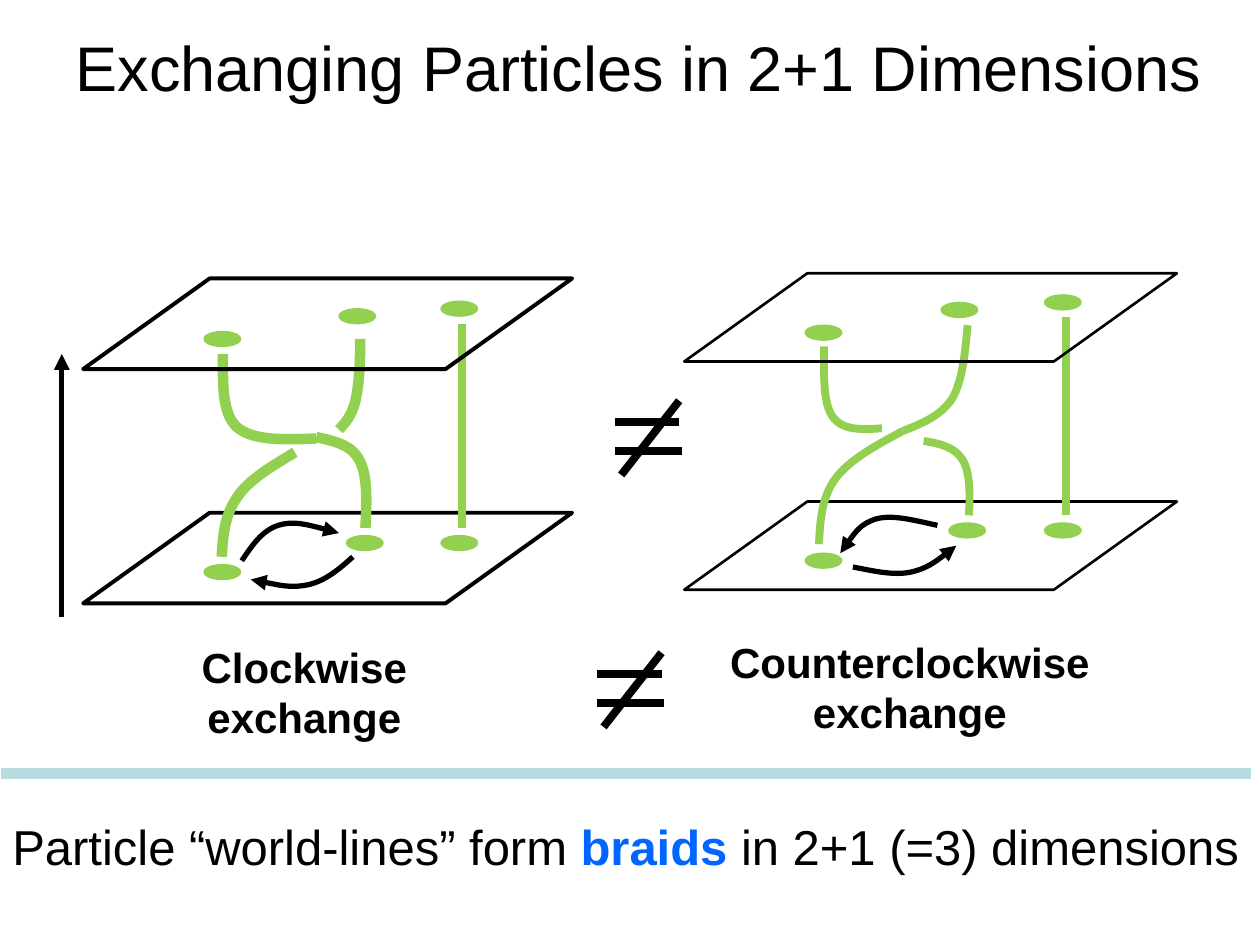
from dataclasses import dataclass

from lxml import etree
from pptx import Presentation
from pptx.dml.color import RGBColor
from pptx.enum.shapes import MSO_CONNECTOR, MSO_SHAPE
from pptx.enum.text import MSO_ANCHOR, MSO_AUTO_SIZE, PP_ALIGN
from pptx.oxml.ns import qn
from pptx.util import Pt


@dataclass(frozen=True)
class Theme:
    font: str = "Arial"
    ink: str = "000000"
    strand: str = "92D050"
    accent: str = "0066FF"
    rule: str = "B6DCDF"
    title_size: float = 36
    statement_size: float = 28
    caption_size: float = 24


@dataclass(frozen=True)
class Braid:
    sheet_left: float
    sheet_tops: tuple
    sheet_size: tuple
    sheet_ratio: float
    sheet_weight: float
    strand_weight: float
    particles: list
    strands: list      # start point, then two cubic segments
    swaps: list
    swap_end: str
    straight_x: float
    straight_spans: list


class Canvas:
    def __init__(self, slide, theme):
        self.slide, self.theme = slide, theme

    def stroke(self, shape, color, weight, arrow=None):
        shape.line.color.rgb = RGBColor.from_string(color)
        shape.line.width = Pt(weight)
        if arrow:
            line = shape.line._get_or_add_ln()
            etree.SubElement(line, qn(f"a:{arrow}"), type="triangle")

    def preset(self, kind, left, top, size, color, weight, filled=False):
        shape = self.slide.shapes.add_shape(
            kind, Pt(left), Pt(top), Pt(size[0]), Pt(size[1]))
        shape.shadow.inherit = False
        if filled:
            shape.fill.solid()
            shape.fill.fore_color.rgb = RGBColor.from_string(color)
        else:
            shape.fill.background()
        self.stroke(shape, color, weight)
        return shape

    def sheet(self, braid, top):
        sheet = self.preset(MSO_SHAPE.PARALLELOGRAM, braid.sheet_left, top,
                            braid.sheet_size, self.theme.ink, braid.sheet_weight)
        sheet.adjustments[0] = braid.sheet_ratio

    def particle(self, left, top):
        self.preset(MSO_SHAPE.OVAL, left, top, (20.9, 8.6),
                    self.theme.strand, 0.75, filled=True)

    def line(self, start, end, color, weight, arrow=None):
        line = self.slide.shapes.add_connector(
            MSO_CONNECTOR.STRAIGHT, *(Pt(v) for v in (*start, *end)))
        etree.SubElement(line._element.spPr, qn("a:effectLst"))
        self.stroke(line, color, weight, arrow)

    def curve(self, points, color, weight, arrow=None):
        start, *rest = [(Pt(x), Pt(y)) for x, y in points]
        builder = self.slide.shapes.build_freeform(*start)
        builder.add_line_segments(rest, close=False)
        curve = builder.convert_to_shape()
        # Regroup the points, three at a time, as cubic segments
        path = curve._element.find(".//" + qn("a:path"))
        segments = path.findall(qn("a:lnTo"))
        for i in range(0, len(segments), 3):
            cubic = etree.SubElement(path, qn("a:cubicBezTo"))
            for segment in segments[i:i + 3]:
                cubic.append(segment[0])
                path.remove(segment)
        curve.shadow.inherit = False
        curve.fill.background()
        self.stroke(curve, color, weight, arrow)

    def add_run(self, paragraph, text, size, color=None, bold=False):
        run = paragraph.add_run()
        run.text = text
        run.font.name = self.theme.font
        run.font.size = Pt(size)
        run.font.bold = bold
        run.font.color.rgb = RGBColor.from_string(color or self.theme.ink)

    def title(self, text, left, top, width, height):
        title = self.slide.shapes.title
        title.left, title.top = Pt(left), Pt(top)
        title.width, title.height = Pt(width), Pt(height)
        frame = title.text_frame
        frame.vertical_anchor = MSO_ANCHOR.MIDDLE
        frame.paragraphs[0].alignment = PP_ALIGN.CENTER
        self.add_run(frame.paragraphs[0], text, self.theme.title_size)

    def text_box(self, left, top, width, height, wrap):
        box = self.slide.shapes.add_textbox(Pt(left), Pt(top), Pt(width), Pt(height))
        frame = box.text_frame
        frame.word_wrap = wrap
        frame.auto_size = MSO_AUTO_SIZE.SHAPE_TO_FIT_TEXT
        return frame

    def caption(self, lines, left, top, width):
        frame = self.text_box(left, top, width, 65.5, wrap=False)
        for i, text in enumerate(lines):
            paragraph = frame.add_paragraph() if i else frame.paragraphs[0]
            paragraph.alignment = PP_ALIGN.CENTER
            self.add_run(paragraph, text, self.theme.caption_size, bold=True)

    def statement(self, parts, left, top, width, height):
        frame = self.text_box(left, top, width, height, wrap=True)
        for text, color, bold in parts:
            self.add_run(frame.paragraphs[0], text,
                         self.theme.statement_size, color, bold)

    def not_equal(self, x, y):
        for start, end in (((0, 12.2), (36.7, 12.2)), ((0, 28.8), (38.1, 28.8)),
                           ((36.7, 0), (3.6, 42.4))):
            self.line((x + start[0], y + start[1]), (x + end[0], y + end[1]),
                      self.theme.ink, 4.5)

    def braid(self, braid):
        theme = self.theme
        lower, upper = braid.sheet_tops
        self.sheet(braid, lower)
        for strand in braid.strands:
            self.curve(strand, theme.strand, braid.strand_weight)
        for start, end in braid.straight_spans:
            self.line((braid.straight_x, start), (braid.straight_x, end),
                      theme.strand, 4.5)
        for left, top in braid.particles:
            self.particle(left, top)
        for swap in braid.swaps:
            self.curve(swap, theme.ink, 3, braid.swap_end)
        self.sheet(braid, upper)


CLOCKWISE = Braid(
    47.5, (293, 159.1), (279.4, 51.8), 1.396, 2.25, 6,
    particles=[(116.6, 322.6), (198, 306), (252, 306),
               (116.6, 189.4), (193.7, 176.4), (252, 172.1)],
    strands=[
        [(126.7, 318.2), (127.4, 306.7), (128.2, 294.5), (135.4, 284.4),
         (141.8, 274.3), (155.5, 266.4), (168.5, 258.5)],
        [(208.8, 301.7), (209.5, 286.6), (210.2, 271.4), (205.2, 262.8),
         (200.9, 254.2), (190.8, 252), (180.7, 249.8)],
        [(180.7, 250.6), (162.7, 251.3), (144.7, 252), (135.4, 244.1),
         (126.7, 236.2), (127.4, 218.9), (127.4, 202.3)],
        [(193.7, 245.5), (197.3, 241.9), (200.9, 237.6), (203, 229.7),
         (205.2, 221), (205.9, 207.4), (205.9, 193.7)]],
    swaps=[
        [(138.2, 320.4), (144, 311.8), (149.8, 303.1), (159.1, 300.2),
         (167.8, 297.4), (180.7, 301), (193.7, 304.6)],
        [(201.6, 318.2), (193.7, 325.4), (185.8, 331.9), (176.4, 334.1),
         (166.3, 336.2), (154.8, 333.4), (143.3, 331.2)]],
    swap_end="tailEnd", straight_x=264.2,
    straight_spans=[(254.2, 185), (301.7, 249.8)])

COUNTERCLOCKWISE = Braid(
    391, (286.6, 156.2), (281.5, 50.4), 1.395, 1.5, 4.5,
    particles=[(460.1, 316.1), (542.2, 298.8), (596.9, 298.8),
               (460.1, 185.8), (537.8, 172.8), (596.9, 168.5)],
    strands=[
        [(468, 311), (468.7, 298.1), (469.4, 284.4), (477.4, 273.6),
         (485.3, 262.8), (501.1, 254.2), (516.2, 246.2)],
        [(553.7, 294.5), (554.4, 282.2), (554.4, 270), (550.1, 262.8),
         (545.8, 255.6), (537.1, 253.4), (527.8, 252)],
        [(504, 244.8), (492.5, 245.5), (481.7, 246.2), (475.9, 238.3),
         (470.2, 230.4), (470.9, 214.6), (470.9, 198)],
        [(516.2, 246.2), (527, 241.9), (537.8, 237.6), (544.3, 227.5),
         (550.1, 217.4), (551.5, 201.6), (553, 185.8)]],
    swaps=[
        [(480.2, 316.1), (486, 307.4), (491.8, 299.5), (500.4, 296.6),
         (509.8, 293.8), (522.7, 297.4), (535.7, 300.2)],
        [(546.5, 311.8), (538.6, 318.2), (529.9, 324.7), (520.6, 326.9),
         (510.5, 329), (499, 326.2), (487.4, 324)]],
    swap_end="headEnd", straight_x=609.1,
    straight_spans=[(248.4, 181.4), (294.5, 244.1)])


def main():
    deck = Presentation()
    deck.slide_width, deck.slide_height = Pt(720), Pt(540)
    theme = Theme()
    canvas = Canvas(deck.slides.add_slide(deck.slide_layouts[5]), theme)
    canvas.title("Exchanging Particles in 2+1 Dimensions", 33.1, 7.9, 663.8, 59.8)

    # Time axis and the two braids
    canvas.line((35.3, 352.8), (35.3, 202.3), theme.ink, 3, "tailEnd")
    canvas.braid(CLOCKWISE)
    canvas.braid(COUNTERCLOCKWISE)

    # Comparison signs and captions
    canvas.not_equal(351.4, 229)
    canvas.not_equal(341.3, 373)
    canvas.caption(["Clockwise", "exchange"], 107.3, 362.9, 133.2)
    canvas.caption(["Counterclockwise", "exchange"], 409, 360, 221.8)

    # Conclusion below the rule
    canvas.line((0.7, 442.1), (715, 442.1), theme.rule, 6)
    canvas.statement([("Particle “world-lines” form ", theme.ink, False),
                      ("braids", theme.accent, True),
                      (" in 2+1 (=3) dimensions", theme.ink, False)],
                     0, 463, 720, 41)
    deck.save("out.pptx")


if __name__ == "__main__":
    main()
